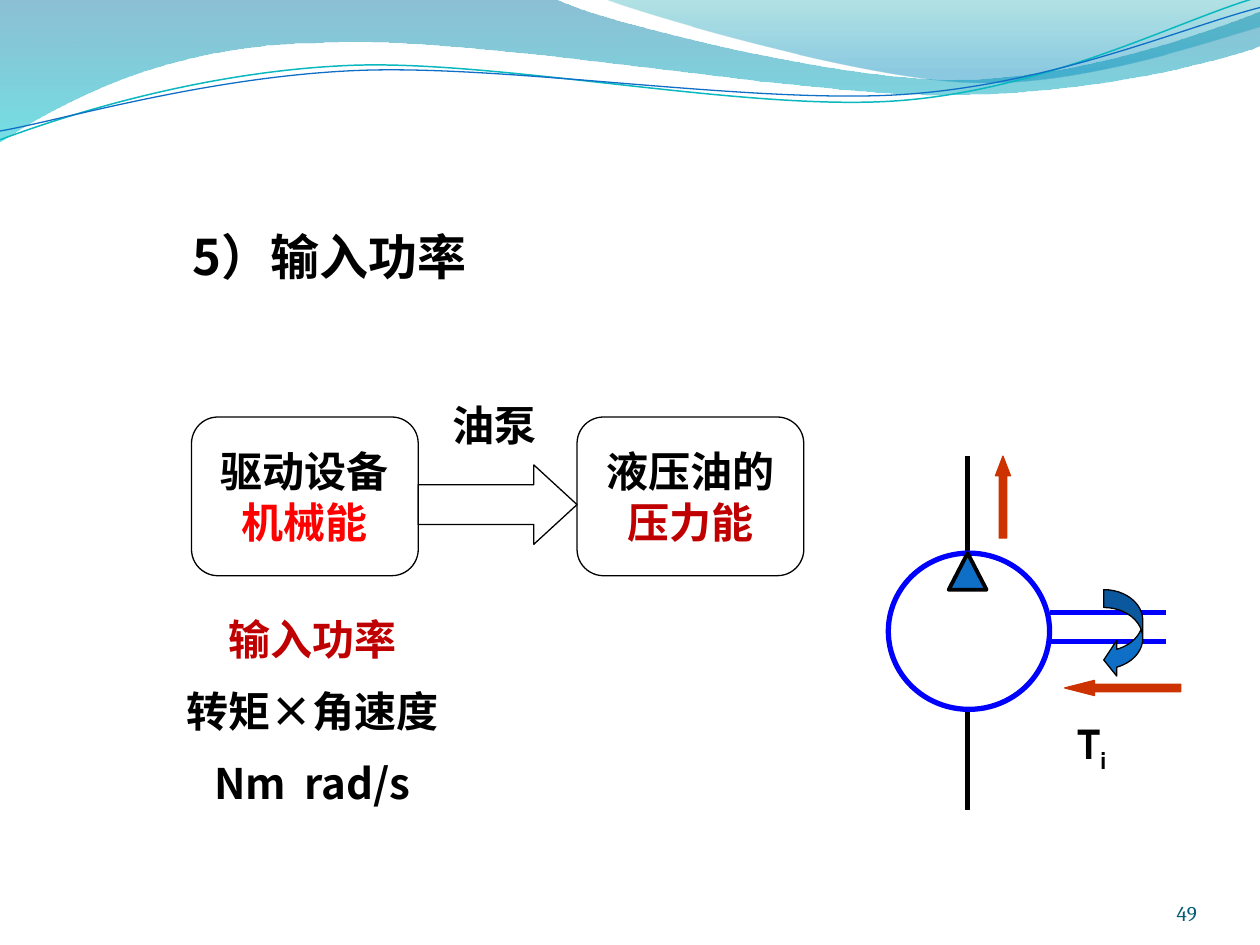
"""Build the slide on pump input power, with an energy flow and a pump symbol."""
from dataclasses import dataclass

from lxml import etree
from pptx import Presentation
from pptx import util as u
from pptx.dml.color import RGBColor
from pptx.enum import shapes, text
from pptx.oxml.ns import qn


@dataclass(frozen=True)
class Theme:
    cjk: str = "Noto Sans CJK SC"
    latin: str = "Cabin"
    number: str = "Cambria"
    title: int = 28
    body: int = 24
    small: int = 12
    black: str = "000000"
    red: str = "FF0000"
    dark_red: str = "C00000"
    orange: str = "CC3300"
    blue: str = "0F6FC6"
    pure_blue: str = "0000FF"
    teal: str = "0AB8BF"
    footer: str = "045D75"
    wave_back: tuple = ((0, "0074A1", 45), (1, "00C6CF", 55))
    wave_front: tuple = ((0, "00A1A9", 30), (0.8, "008BBF", 45))


T = Theme()
A = text.PP_ALIGN
V = text.MSO_ANCHOR
S = shapes.MSO_SHAPE


def write(tf, paras, size=T.body, font=T.cjk, bold=True, align=A.LEFT, anchor=V.TOP,
          before=0, leading=1.21, wrap=True, margins=(0.1, 0.05, 0.1, 0.05)):
    """Fill a text frame with paragraphs of (text, colour, extra attributes) runs."""
    tf.word_wrap = wrap
    tf.vertical_anchor = anchor
    tf.margin_left, tf.margin_top, tf.margin_right, tf.margin_bottom = map(u.Inches, margins)
    for i, runs in enumerate(paras):
        p = tf.add_paragraph() if i else tf.paragraphs[0]
        p.alignment = align
        p.line_spacing = u.Pt(round(size * leading))
        if i:
            p.space_before = u.Pt(before)
        for words, color, *extra in runs:
            r = p.add_run()
            r.text = words
            r.font.size, r.font.bold, r.font.name = u.Pt(size), bold, font
            r.font.color.rgb = RGBColor.from_string(color)
            props = r._r.get_or_add_rPr()
            etree.SubElement(props, qn("a:ea"), typeface=font)
            for name, value in extra:
                props.set(name, value)


def wave(start, parts, close):
    """Draw an outline of straight (x, y) and cubic (x1, y1, x2, y2, x, y) parts."""
    points = [part[k:k + 2] for part in parts for k in range(0, len(part), 2)]
    builder = s.shapes.build_freeform(*map(u.Inches, start))
    builder.add_line_segments([tuple(map(u.Inches, q)) for q in points], close=close)
    sp = builder.convert_to_shape()
    sp.shadow.inherit = False
    steps = iter(list(sp._element.iter(qn("a:lnTo"))))
    for part in parts:
        first = next(steps)
        if len(part) == 6:
            first.tag = qn("a:cubicBezTo")
            for _ in range(2):
                step = next(steps)
                first.append(step[0])
                step.getparent().remove(step)
    return sp


prs = Presentation()
prs.slide_width, prs.slide_height = u.Inches(10), u.Inches(7.5)
s = prs.slides.add_slide(prs.slide_layouts[6])

bands = [
    ((0, -0.01), [(4.4, -0.01), (4.76, 0.17, 6.64, 0.63, 7.58, 0.63),
                  (8.53, 0.63, 9.58, 0.26, 10, 0.09), (10.01, 0.36),
                  (9.83, 0.44, 8.7, 0.76, 7.46, 0.75),
                  (6.22, 0.75, 3.82, 0.28, 2.57, 0.34),
                  (1.29, 0.35, 0.46, 0.83, -0.01, 1.13)], T.wave_back),
    ((4.79, -0.01), [(5.09, 0.11, 6.82, 0.62, 7.69, 0.65),
                     (8.56, 0.69, 9.61, 0.32, 10, 0.21), (10, 0)], T.wave_front),
]
for start, parts, stops in bands:
    sp = wave(start, parts, True)
    sp.line.fill.background()
    sp.fill.gradient()
    sp.fill.gradient_angle = 270
    for stop, (position, color, _) in zip(sp.fill.gradient_stops, stops):
        stop.position = position
        stop.color.rgb = RGBColor.from_string(color)
    for gs, (_, _, opacity) in zip(sp._element.iter(qn("a:gs")), stops):
        etree.SubElement(gs[0], qn("a:alpha"), val=str(opacity * 1000))

ribbons = [
    ((0, 1.11), [(0.48, 0.93, 1.58, 0.57, 2.77, 0.52), (3.95, 0.47, 5.93, 0.89, 7.13, 0.8),
                 (8.33, 0.71, 9.38, 0.15, 9.98, -0.02)], T.teal, 0.85),
    ((0, 1.04), [(0.47, 0.96, 1.64, 0.61, 2.83, 0.56), (4.03, 0.51, 5.97, 0.83, 7.17, 0.75),
                 (8.36, 0.67, 9.41, 0.21, 10, 0.06)], T.blue, 0.75),
]
for start, parts, color, width in ribbons:
    sp = wave(start, parts, False)
    sp.fill.background()
    sp.line.color.rgb = RGBColor.from_string(color)
    sp.line.width = u.Pt(width)

pipes = [
    (8.33, 4.86, 9.25, 4.86, T.pure_blue),
    (8.33, 5.09, 9.25, 5.09, T.pure_blue),
    (7.68, 5.63, 7.68, 6.43, T.black),
    (7.68, 3.62, 7.68, 4.39, T.black),
]
for *ends, color in pipes:
    line = s.shapes.add_connector(shapes.MSO_CONNECTOR.STRAIGHT, *map(u.Inches, ends))
    line.line.color.rgb = RGBColor.from_string(color)
    line.line.width = u.Pt(3)
    etree.SubElement(line._element.spPr, qn("a:effectLst"))

figures = [
    (S.OVAL, (7.05, 4.39, 1.28, 1.24), (), None, T.pure_blue, 3, None),
    (S.ISOSCELES_TRIANGLE, (7.53, 4.39, 0.3, 0.29), (0.5,), T.blue, T.black, 2.25, None),
    (S.CURVED_LEFT_ARROW, (8.76, 4.68, 0.31, 0.7), (0.457, 0.913, 0.333),
     T.blue, T.black, 0.75, None),
    (S.UP_ARROW, (7.9, 3.62, 0.12, 0.65), (0.5, 1.304), T.orange, T.orange, 0.75, None),
    (S.LEFT_ARROW, (8.45, 5.4, 0.92, 0.12), (0.5, 1.962), T.orange, T.orange, 0.75, None),
    (S.RIGHT_ARROW, (3.32, 3.69, 1.26, 0.63), (0.5, 0.544), None, T.black, 0.75, None),
    (S.ROUNDED_RECTANGLE, (1.52, 3.31, 1.8, 1.26), (0.167,), None, T.black, 0.75,
     [[("驱动设备", T.black)], [("机械能", T.red)]]),
    (S.ROUNDED_RECTANGLE, (4.58, 3.31, 1.8, 1.26), (0.167,), None, T.black, 0.75,
     [[("液压油的", T.black)], [("压力能", T.dark_red)]]),
]
for kind, place, adjust, fill, color, width, paras in figures:
    sp = s.shapes.add_shape(kind, *map(u.Inches, place))
    sp.shadow.inherit = False
    for i, value in enumerate(adjust):
        sp.adjustments[i] = value
    if fill:
        sp.fill.solid()
        sp.fill.fore_color.rgb = RGBColor.from_string(fill)
    else:
        sp.fill.background()
    sp.line.color.rgb = RGBColor.from_string(color)
    sp.line.width = u.Pt(width)
    if paras:
        write(sp.text_frame, paras, align=A.CENTER, anchor=V.MIDDLE, wrap=False)

units = [("Nm", T.black), (" ", T.black, ("spc", "500")), ("rad/s", T.black)]
torque = [("T", T.black), ("i", T.black, ("baseline", "-25000"))]
labels = [
    ((1, 1.74, 8.33, 0.67), [[("5）输入功率", T.black)]],
     dict(size=T.title, margins=(0.53, 0.05, 0.1, 0.05))),
    ((8.45, 5.64, 0.66, 0.5), [torque], dict(font=T.latin, leading=1.38)),
    ((1.34, 4.82, 2.28, 1.78),
     [[("输入功率", T.dark_red)], [("转矩×角速度", T.black)], units],
     dict(align=A.CENTER, before=12)),
    ((3.49, 3.12, 0.9, 0.51), [[("油泵", T.black)]], {}),
    ((8.67, 6.95, 0.83, 0.4), [[("49", T.footer)]],
     dict(size=T.small, font=T.number, bold=False, align=A.RIGHT, anchor=V.BOTTOM,
          margins=(0, 0, 0, 0))),
]
for place, paras, style in labels:
    write(s.shapes.add_textbox(*map(u.Inches, place)).text_frame, paras, **style)

prs.save("out.pptx")
